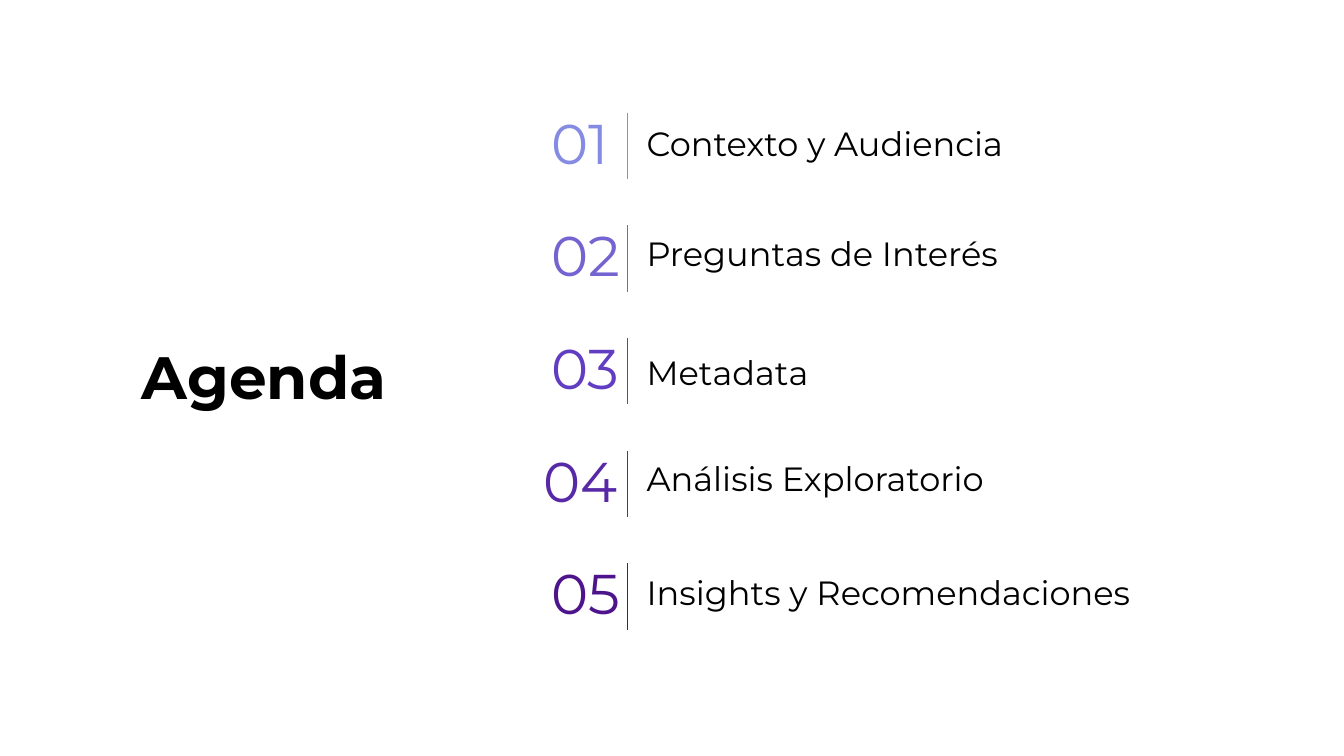
"""Build the agenda slide with five numbered topics."""
import dataclasses

import pptx
import pptx.dml.color
import pptx.enum.shapes
import pptx.enum.text
import pptx.oxml.ns
import pptx.util
from lxml import etree

Cm = pptx.util.Cm
Pt = pptx.util.Pt
RGB = pptx.dml.color.RGBColor.from_string
Anchor = pptx.enum.text.MSO_ANCHOR


@dataclasses.dataclass(frozen=True)
class Theme:
    font: str = "Montserrat"
    text: str = "000000"
    title_size: int = 32
    number_size: int = 30
    topic_size: int = 18
    rule_width: int = 1


theme = Theme()


def write(box, text, size, color, anchor, bold=False):
    frame = box.text_frame
    frame.text = text
    frame.word_wrap = True
    frame.auto_size = pptx.enum.text.MSO_AUTO_SIZE.NONE
    frame.vertical_anchor = anchor
    para = frame.paragraphs[0]
    para.alignment = pptx.enum.text.PP_ALIGN.LEFT
    para.line_spacing = 0.9
    para.space_before = Pt(0)
    span = para.runs[0]
    span.font.name = theme.font
    span.font.size = Pt(size)
    span.font.bold = bold
    span.font.color.rgb = RGB(color)
    return para


def add_label(page, left, top, width, height, *style):
    box = page.shapes.add_textbox(Cm(left), Cm(top), Cm(width), Cm(height))
    frame = box.text_frame
    frame.margin_left = frame.margin_right = 0
    frame.margin_top = frame.margin_bottom = 0
    return write(box, *style)


deck = pptx.Presentation()
deck.slide_width = Cm(25.4)
deck.slide_height = Cm(14.29)
page = deck.slides.add_slide(deck.slide_layouts[5])

title = page.shapes.title
title.left, title.top = Cm(2.5), Cm(0.9)
title.width, title.height = Cm(6.35), Cm(12.57)
title.text_frame.margin_left = title.text_frame.margin_right = Cm(0.18)
title.text_frame.margin_top = title.text_frame.margin_bottom = Cm(0.1)
write(title, "Agenda", theme.title_size, theme.text, Anchor.MIDDLE, True)

topics = [
    ("Contexto y Audiencia", "858BE3", 9.45, 0),
    ("Preguntas de Interés", "7464D1", 9.45, -0.06),
    ("Metadata", "613DC1", 9.45, 0.06),
    ("Análisis Exploratorio", "5729A6", 9.3, -0.06),
    ("Insights y Recomendaciones", "4E148C", 9.45, -0.03),
]
first_top, pitch, row_height = 2.13, 2.13, 1.25
rule_left = 11.86

for index, (topic, color, number_left, topic_shift) in enumerate(topics):
    top = first_top + index * pitch
    number = add_label(page, number_left, top + 0.06, 2.77, 1.12,
                       f"{index + 1:02}", theme.number_size, color, Anchor.TOP)
    number._p.get_or_add_pPr().set("marL", str(Cm(0.97)))
    add_label(page, 12.22, top + topic_shift, 10.26, row_height,
              topic, theme.topic_size, theme.text, Anchor.MIDDLE)
    rule = page.shapes.add_connector(
        pptx.enum.shapes.MSO_CONNECTOR.STRAIGHT,
        Cm(rule_left), Cm(top), Cm(rule_left), Cm(top + row_height))
    rule.line.color.rgb = RGB(color)
    rule.line.width = Pt(theme.rule_width)
    etree.SubElement(rule._element.spPr, pptx.oxml.ns.qn("a:effectLst"))

deck.save("out.pptx")
